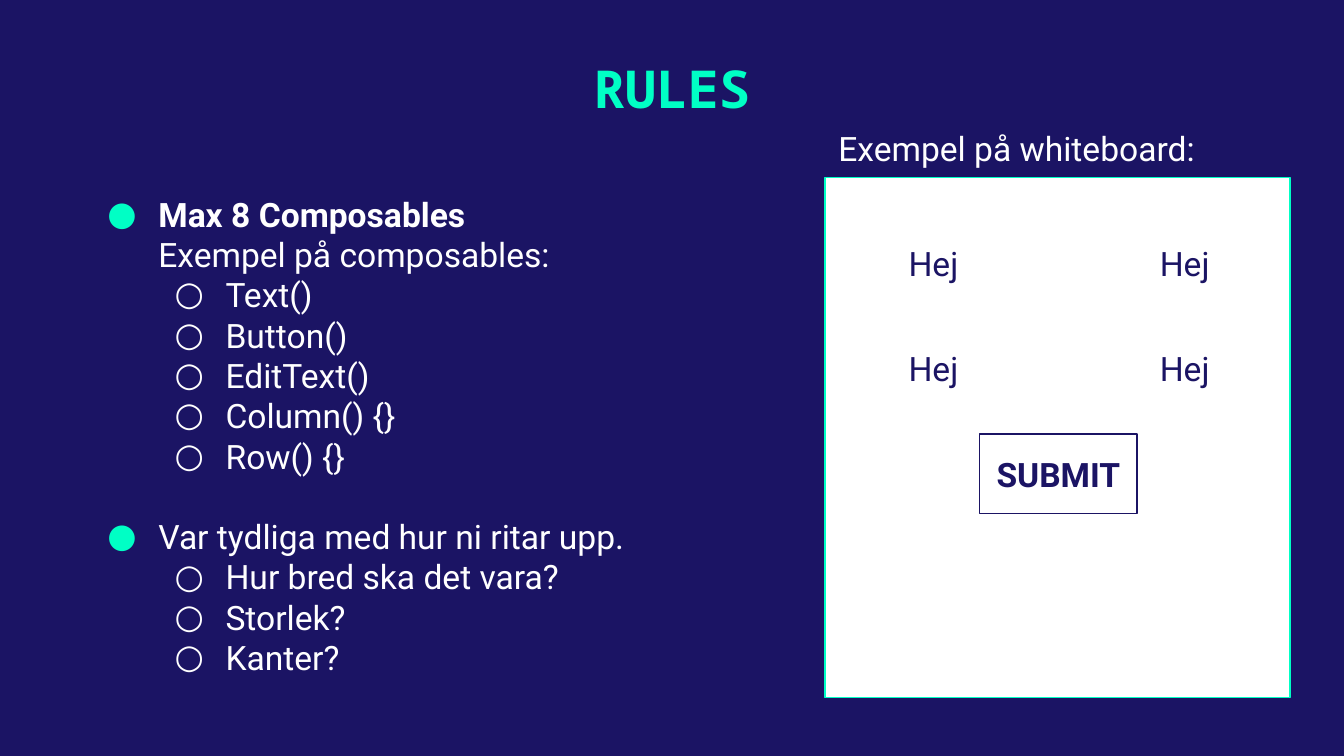
from lxml.etree import SubElement
from pptx import Presentation
from pptx.dml.color import RGBColor
from pptx.enum.shapes import MSO_SHAPE
from pptx.enum.text import MSO_ANCHOR, PP_ALIGN
from pptx.oxml.ns import qn
from pptx.util import Inches, Pt

NAVY = RGBColor(0x1B, 0x14, 0x64)
MINT = RGBColor(0x00, 0xFF, 0xC5)
WHITE = RGBColor(0xFF, 0xFF, 0xFF)
BODY_FONT = "Roboto"

COMPOSABLES = ["Text()", "Button()", "EditText()", "Column() {}", "Row() {}"]
DRAWING_QUESTIONS = ["Hur bred ska det vara?", "Storlek?", "Kanter?"]


def write(paragraph, text, font=BODY_FONT, size=18, color=WHITE, bold=False):
    run = paragraph.add_run()
    run.text = text
    run.font.name = font
    run.font.size = Pt(size)
    run.font.color.rgb = color
    run.font.bold = bold


def add_bullet(paragraph, level):
    """Give the paragraph a hanging bullet: mint disc on level 0, white ring on level 1."""
    symbol, color = [("●", MINT), ("○", WHITE)][level]
    paragraph.level = level
    properties = paragraph._p.get_or_add_pPr()
    properties.set("marL", str(Inches(0.5 * (level + 1))))
    properties.set("indent", str(Inches(-0.38)))
    bullet_color = SubElement(properties, qn("a:buClr"))
    SubElement(bullet_color, qn("a:srgbClr"), val=str(color))
    SubElement(properties, qn("a:buFont"), typeface=BODY_FONT)
    SubElement(properties, qn("a:buChar"), char=symbol)


class RulesSlide:
    def __init__(self, presentation):
        self.slide = presentation.slides.add_slide(presentation.slide_layouts[6])
        background = self.slide.background.fill
        background.solid()
        background.fore_color.rgb = NAVY

    def prepare(self, frame, anchor=MSO_ANCHOR.TOP):
        frame.word_wrap = True
        frame.vertical_anchor = anchor
        frame.margin_left = frame.margin_right = Inches(0.1)
        frame.margin_top = frame.margin_bottom = Inches(0.1)
        return frame

    def frame(self, left, top, width, height, anchor=MSO_ANCHOR.TOP):
        box = self.slide.shapes.add_textbox(
            Inches(left), Inches(top), Inches(width), Inches(height))
        return self.prepare(box.text_frame, anchor)

    def label(self, text, left, top, width, height,
              align=PP_ALIGN.LEFT, anchor=MSO_ANCHOR.TOP, **style):
        paragraph = self.frame(left, top, width, height, anchor).paragraphs[0]
        paragraph.alignment = align
        write(paragraph, text, **style)

    def rectangle(self, left, top, width, height, line, fill=None):
        shape = self.slide.shapes.add_shape(
            MSO_SHAPE.RECTANGLE,
            Inches(left), Inches(top), Inches(width), Inches(height))
        shape.shadow.inherit = False
        if fill is None:
            shape.fill.background()
        else:
            shape.fill.solid()
            shape.fill.fore_color.rgb = fill
        shape.line.color.rgb = line
        shape.line.width = Pt(0.75)
        return shape

    def button(self, text, left, top, width, height):
        shape = self.rectangle(left, top, width, height, line=NAVY)
        paragraph = self.prepare(shape.text_frame, MSO_ANCHOR.MIDDLE).paragraphs[0]
        paragraph.alignment = PP_ALIGN.CENTER
        write(paragraph, text, color=NAVY, bold=True)

    def rules(self, left, top, width, height):
        frame = self.frame(left, top, width, height)
        composables = frame.paragraphs[0]
        add_bullet(composables, 0)
        write(composables, "Max 8 Composables", bold=True)
        composables.add_line_break()
        write(composables, "Exempel på composables:")
        self.sub_rules(frame, COMPOSABLES)

        clarity = frame.add_paragraph()
        clarity.space_before = Pt(21.6)
        add_bullet(clarity, 0)
        write(clarity, "Var tydliga med hur ni ritar upp.")
        self.sub_rules(frame, DRAWING_QUESTIONS)

    def sub_rules(self, frame, items):
        for item in items:
            paragraph = frame.add_paragraph()
            add_bullet(paragraph, 1)
            write(paragraph, item)


def main():
    presentation = Presentation()
    presentation.slide_width = Inches(10)
    presentation.slide_height = Inches(10 * 9 / 16)

    page = RulesSlide(presentation)
    page.label("RULES", 3.11, 0.32, 3.78, 0.73, align=PP_ALIGN.CENTER,
               font="Noto Sans Mono", size=28, color=MINT, bold=True)
    page.rules(0.58, 1.34, 4.28, 3.84)

    page.rectangle(6.14, 1.32, 3.46, 3.87, line=MINT, fill=WHITE)
    for top in (1.66, 2.44):
        for left in (6.49, 8.36):
            page.label("Hej", left, top, 0.91, 0.59, align=PP_ALIGN.CENTER,
                       anchor=MSO_ANCHOR.MIDDLE, color=NAVY)
    page.button("SUBMIT", 7.29, 3.23, 1.17, 0.59)
    page.label("Exempel på whiteboard:", 6.14, 0.85, 3.14, 0.48)

    presentation.save("out.pptx")


if __name__ == "__main__":
    main()
